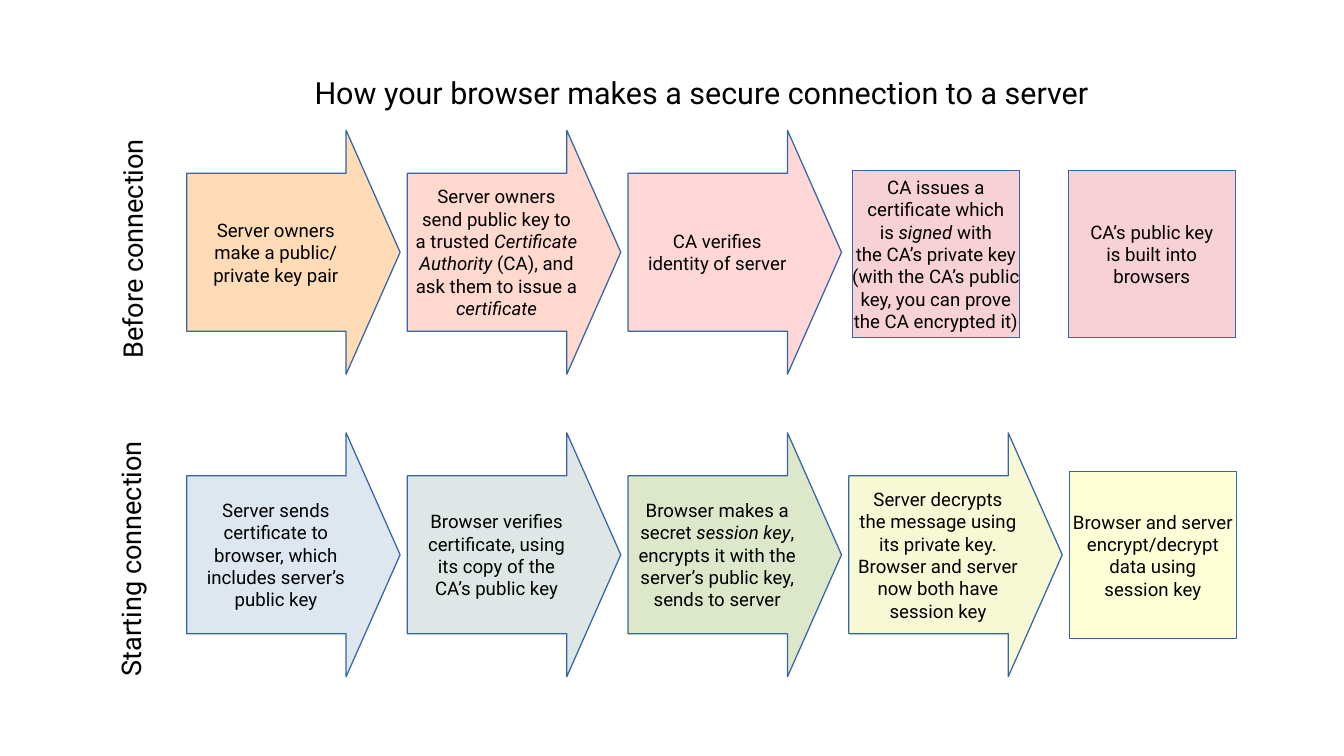
from dataclasses import dataclass

from pptx import Presentation
from pptx.dml.color import RGBColor
from pptx.enum.shapes import MSO_SHAPE
from pptx.enum.text import MSO_ANCHOR, MSO_AUTO_SIZE, PP_ALIGN
from pptx.util import Pt

ARROW = MSO_SHAPE.RIGHT_ARROW
RECT = MSO_SHAPE.RECTANGLE
MIDDLE = MSO_ANCHOR.MIDDLE
CENTER = PP_ALIGN.CENTER
GROW = MSO_AUTO_SIZE.SHAPE_TO_FIT_TEXT

FONT = "Roboto"
INK = "000000"
EDGE = "3465A4"
LEFT, PITCH = 110.2, 130.3
BEFORE, START = 77, 255.6
WIDE, HIGH, SIDE = 126, 144, 98.6


@dataclass
class Step:
    """One box; lines are split by newlines, italics stand between asterisks."""
    x: float
    y: float
    fill: str
    text: str
    arrow: bool = True


@dataclass
class Label:
    x: float
    y: float
    w: float
    h: float
    size: float
    text: str
    turn: float = 0


def col(index: int) -> float:
    return LEFT + index * PITCH


STEPS = [
    # Before connection
    Step(col(0), BEFORE, "FFDBB6", "Server owners\nmake a public/\nprivate key pair"),
    Step(col(1), BEFORE, "FFD8CE",
         "Server owners\nsend public key to\na trusted *Certificate*\n"
         "*Authority *(CA), and\nask them to issue a\n*certificate*"),
    Step(col(2), BEFORE, "FFD7D7", "CA verifies\nidentity of server"),
    Step(503.3, 100.8, "F7D1D5",
         "CA issues a\ncertificate which\nis *signed* with\nthe CA’s private key\n"
         "(with the CA’s public\nkey, you can prove\nthe CA encrypted it)", False),
    Step(630.7, 100.8, "F7D1D5", "CA’s public key\nis built into\nbrowsers", False),
    # Starting connection
    Step(col(0), START, "DEE6EF",
         "Server sends\ncertificate to\nbrowser, which\nincludes server’s\npublic key"),
    Step(col(1), START, "DEE7E5",
         "Browser verifies\ncertificate, using\nits copy of the\nCA’s public key"),
    Step(col(2), START, "DDE8CB",
         "Browser makes a\nsecret *session key*,\nencrypts it with the\n"
         "server’s public key,\nsends to server"),
    Step(col(3), START, "F6F9D4",
         "Server decrypts\nthe message using\nits private key.\n"
         "Browser and server\nnow both have\nsession key"),
    Step(631.4, 278.6, "FFFFD7",
         "Browser and server\nencrypt/decrypt\ndata using\nsession key", False),
]

LABELS = [
    Label(178.6, 40.3, 472.3, 28.1, 18,
          "How your browser makes a secure connection to a server"),
    Label(5.8, 133.9, 144, 25.9, 16, "Before connection", 270),
    Label(0, 316.8, 153.4, 25.9, 16, "Starting connection", 270),
]


def color(code: str) -> RGBColor:
    return RGBColor.from_string(code)


def write(frame, text: str, size: float, align=None) -> None:
    frame.word_wrap = False
    for i, line in enumerate(text.split("\n")):
        para = frame.paragraphs[0] if i == 0 else frame.add_paragraph()
        para.alignment = align
        for j, part in enumerate(line.split("*")):
            if not part:
                continue
            run = para.add_run()
            run.text = part
            run.font.name = FONT
            run.font.size = Pt(size)
            run.font.italic = j % 2 == 1
            run.font.color.rgb = color(INK)


def draw_step(slide, step: Step) -> None:
    kind, w, h = (ARROW, WIDE, HIGH) if step.arrow else (RECT, SIDE, SIDE)
    box = slide.shapes.add_shape(kind, Pt(step.x), Pt(step.y), Pt(w), Pt(h))
    if step.arrow:
        box.adjustments[0] = 0.647
        box.adjustments[1] = 0.253
    box.shadow.inherit = False
    box.fill.solid()
    box.fill.fore_color.rgb = color(step.fill)
    box.line.color.rgb = color(EDGE)
    box.line.width = Pt(0)
    box.text_frame.vertical_anchor = MIDDLE
    write(box.text_frame, step.text, 11, CENTER)


def draw_label(slide, label: Label) -> None:
    box = slide.shapes.add_textbox(Pt(label.x), Pt(label.y), Pt(label.w), Pt(label.h))
    box.rotation = label.turn
    box.text_frame.auto_size = GROW
    write(box.text_frame, label.text, label.size)


def main() -> None:
    deck = Presentation()
    deck.slide_width, deck.slide_height = Pt(793.44), Pt(446.4)
    slide = deck.slides.add_slide(deck.slide_layouts[6])
    for step in STEPS:
        draw_step(slide, step)
    for label in LABELS:
        draw_label(slide, label)
    deck.save("out.pptx")


if __name__ == "__main__":
    main()
